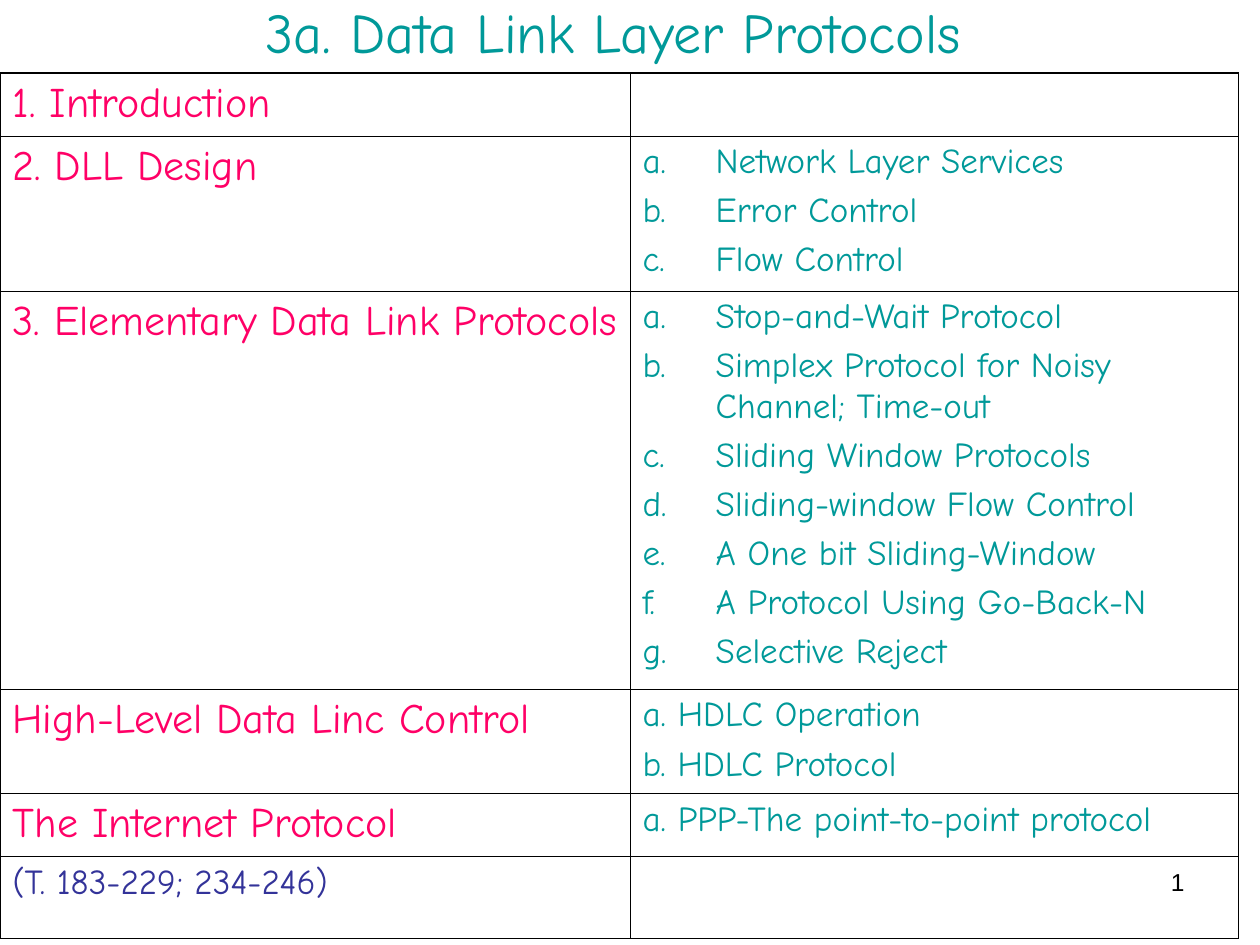
"""Build the agenda slide for the data link layer protocols lecture."""
from lxml import etree
from pptx import Presentation
from pptx import util as u
from pptx.dml.color import RGBColor
from pptx.enum import text
from pptx.oxml import ns

TITLE = "3a. Data Link Layer Protocols"
PAGE_NUMBER = "1"
FONT = "Comic Neue"
TEAL, PINK, NAVY, BLACK = "009999", "FF0066", "333399", "000000"
HEADING = {"size": 24, "color": PINK, "before": 6}
TOPIC = {"size": 20, "color": TEAL, "before": 5}
REFERENCE = {"size": 20, "color": NAVY, "before": 5}
THIN, THICK = 0.45, 1.08
COLUMN_WIDTHS = (5, 4.83)

SECTIONS = [
    {"height": 0.5, "heading": "1. Introduction"},
    {"height": 1.23, "heading": "2. DLL Design", "numbered": True,
     "topics": ["Network Layer Services", "Error Control", "Flow Control"]},
    {"height": 3.16, "heading": "3. Elementary Data Link Protocols", "numbered": True,
     "topics": ["Stop-and-Wait Protocol",
                "Simplex Protocol for Noisy Channel; Time-out",
                "Sliding Window Protocols",
                "Sliding-window Flow Control",
                "A One bit Sliding-Window",
                "A Protocol Using Go-Back-N",
                "Selective Reject"]},
    {"height": 0.83, "heading": "High-Level Data Linc Control",
     "topics": ["a. HDLC Operation", "b. HDLC Protocol"]},
    {"height": 0.5, "heading": "The Internet Protocol",
     "topics": ["a. PPP-The point-to-point protocol"]},
    {"height": 0.65, "heading": "(T. 183-229; 234-246)", "style": REFERENCE},
]


def rgb(color):
    return RGBColor.from_string(color)


def add_element(parent, tag, **attributes):
    return etree.SubElement(parent, ns.qn(tag), attributes)


def place(shape, left, top, width, height):
    box = {"left": left, "top": top, "width": width, "height": height}
    for name, value in box.items():
        setattr(shape, name, u.Inches(value))


def write(paragraph, words, size, color, before=0, font=FONT, align=text.PP_ALIGN.LEFT):
    run = paragraph.add_run()
    run.text = words
    run.font.color.rgb = rgb(color)
    for name, value in {"name": font, "size": u.Pt(size), "bold": False}.items():
        setattr(run.font, name, value)
    for name, value in {"alignment": align, "space_before": u.Pt(before)}.items():
        setattr(paragraph, name, value)


def letter(paragraph):
    properties = paragraph._p.get_or_add_pPr()
    properties.set("marL", str(u.Inches(0.58)))
    properties.set("indent", str(u.Inches(-0.58)))
    add_element(add_element(properties, "a:buClr"), "a:srgbClr", val=TEAL)
    add_element(properties, "a:buFont", typeface=FONT)
    add_element(properties, "a:buAutoNum", type="alphaLcPeriod")


def fill_cell(cell, lines, style, numbered=False):
    frame = cell.text_frame
    for index, line in enumerate(lines):
        paragraph = frame.add_paragraph() if index else frame.paragraphs[0]
        write(paragraph, line, **style)
        if numbered:
            letter(paragraph)


def draw_borders(cell, outer_sides):
    properties = cell._tc.get_or_add_tcPr()
    for side in "LRTB":
        width = THICK if side in outer_sides else THIN
        line = add_element(properties, f"a:ln{side}", w=str(u.Pt(width)))
        add_element(add_element(line, "a:solidFill"), "a:srgbClr", val=BLACK)
    cell.fill.background()


def add_agenda(slide):
    heights = [section["height"] for section in SECTIONS]
    frame = slide.shapes.add_table(
        len(SECTIONS), len(COLUMN_WIDTHS), u.Inches(0), u.Inches(0.58),
        u.Inches(sum(COLUMN_WIDTHS)), u.Inches(sum(heights)))
    table = frame.table
    table.first_row = table.horz_banding = False
    for column, width in zip(table.columns, COLUMN_WIDTHS):
        column.width = u.Inches(width)
    for index, section in enumerate(SECTIONS):
        table.rows[index].height = u.Inches(section["height"])
        left, right = table.rows[index].cells
        fill_cell(left, [section["heading"]], section.get("style", HEADING))
        fill_cell(right, section.get("topics", []), TOPIC, section.get("numbered", False))
        edge = {0: "T", len(SECTIONS) - 1: "B"}.get(index, "")
        draw_borders(left, "L" + edge)
        draw_borders(right, "R" + edge)


def main():
    presentation = Presentation()
    presentation.slide_width, presentation.slide_height = u.Inches(10), u.Inches(7.5)
    slide = presentation.slides.add_slide(presentation.slide_layouts[5])

    title = slide.shapes.title
    place(title, 0.58, 0, 8.58, 0.5)
    title.text_frame.vertical_anchor = text.MSO_ANCHOR.MIDDLE
    write(title.text_frame.paragraphs[0], TITLE, 32, TEAL, align=text.PP_ALIGN.CENTER)

    add_agenda(slide)

    number = slide.shapes.add_textbox(0, 0, 0, 0)
    place(number, 7.17, 6.83, 2.33, 0.52)
    number.text_frame.word_wrap = True
    write(number.text_frame.paragraphs[0], PAGE_NUMBER, 14, BLACK,
          font="Arial", align=text.PP_ALIGN.RIGHT)

    presentation.save("out.pptx")


if __name__ == "__main__":
    main()
